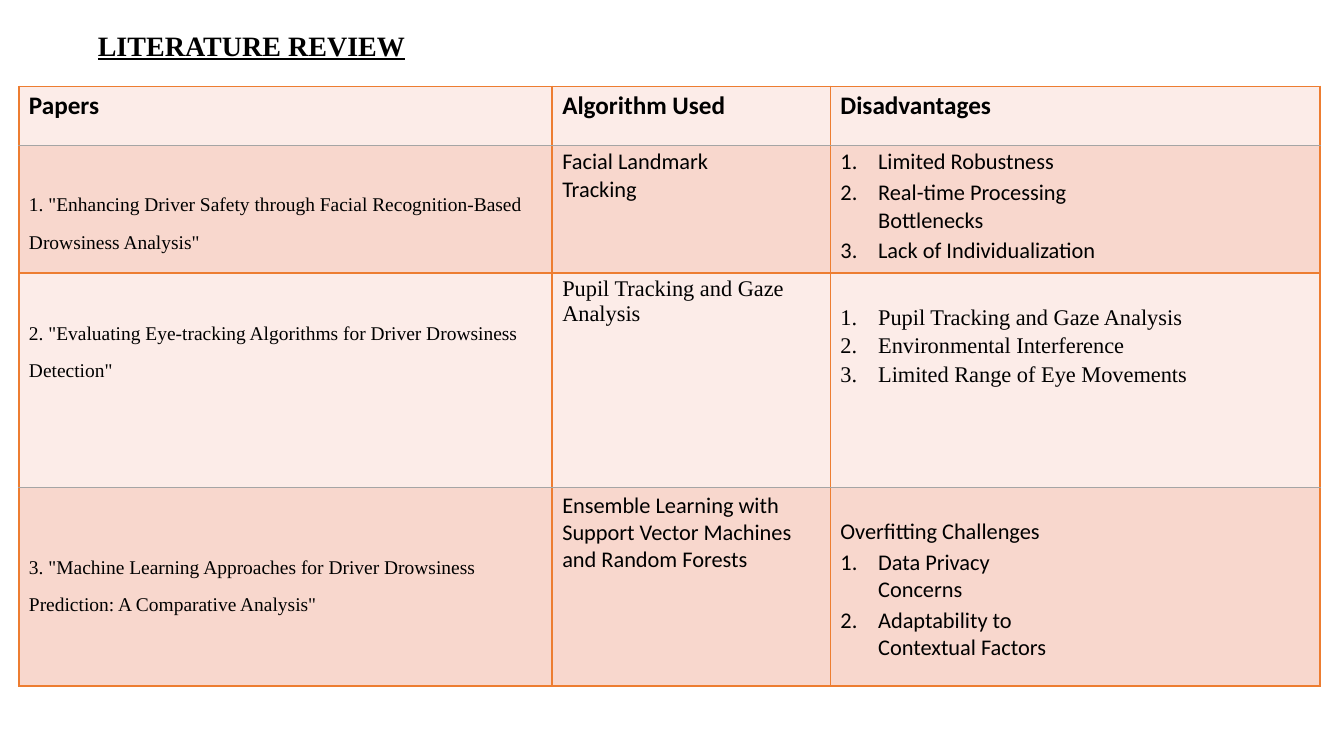
from lxml import etree
from pptx import Presentation
from pptx.dml.color import RGBColor
from pptx.enum.text import MSO_ANCHOR, MSO_AUTO_SIZE, PP_ALIGN
from pptx.oxml.ns import qn
from pptx.util import Cm, Pt

TOP = MSO_ANCHOR.TOP
LEFT = PP_ALIGN.LEFT
NO_FIT = MSO_AUTO_SIZE.NONE
COLORS = {
    "text": "000000",
    "light": "FCECE8",
    "dark": "F8D7CD",
    "border": "ED7D31",
    "hairline": "A5A5A5",
}
SANS, SERIF = "Calibri", "Times New Roman"
COLUMN_WIDTHS = (13.44, 7.01, 12.34)
ROW_HEIGHTS = (1.47, 3.23, 5.41, 5.0)
HAIRLINES = (1, 3)
LIST_INDENT = Cm(0.95)
HEADINGS = ("Papers", "Algorithm Used", "Disadvantages")


def entry(lines, font=SANS, top=0.08, right=0.25, numbered_from=None, **style):
    """Describe one cell: its lines, font, margins in cm and first numbered line."""
    return dict(lines=lines, font=font, top=top, right=right,
                numbered_from=len(lines) if numbered_from is None else numbered_from,
                **style)


def paper(title, top=1.14):
    """Describe a raised paper title."""
    return entry([title], SERIF, top, 0.5, size=24, raised=True)


REVIEW = [
    [entry([heading], top=0.1, size=18, bold=True, spacing=1.0) for heading in HEADINGS],
    [
        paper('1. "Enhancing Driver Safety through Facial Recognition-Based '
              'Drowsiness Analysis"'),
        entry(["Facial Landmark Tracking"], right=2),
        entry(["Limited Robustness", "Real-time Processing Bottlenecks",
               "Lack of Individualization"], right=4.8, numbered_from=0),
    ],
    [
        paper('2. "Evaluating Eye-tracking Algorithms for Driver Drowsiness Detection"'),
        entry(["Pupil Tracking and Gaze Analysis"], SERIF, spacing=1.0),
        entry(["Pupil Tracking and Gaze Analysis", "Environmental Interference",
               "Limited Range of Eye Movements"], SERIF, top=0.81, numbered_from=0),
    ],
    [
        paper('3. "Machine Learning Approaches for Driver Drowsiness Prediction: '
              'A Comparative Analysis"', top=1.63),
        entry(["Ensemble Learning with Support Vector Machines and Random Forests"],
              top=0.1, spacing=1.0),
        entry(["Overfitting Challenges", "Data Privacy Concerns",
               "Adaptability to Contextual Factors"],
              top=0.77, right=6.6, numbered_from=1, spacing=1.0),
    ],
]


def set_font(font, name, size, bold=False):
    """Apply a font in the text colour."""
    font.name, font.size, font.bold = name, Pt(size), bold
    font.color.rgb = RGBColor.from_string(COLORS["text"])


def add_border(cell, side, color, width):
    """Draw one edge of a cell."""
    edge = etree.SubElement(cell._tc.get_or_add_tcPr(), qn(f"a:ln{side}"), w=str(Pt(width)))
    fill = etree.SubElement(edge, qn("a:solidFill"))
    etree.SubElement(fill, qn("a:srgbClr"), val=COLORS[color])


def number_paragraph(paragraph):
    """Turn a paragraph into a numbered item with a hanging indent."""
    properties = paragraph._p.get_or_add_pPr()
    properties.set("marL", str(LIST_INDENT))
    properties.set("indent", str(-LIST_INDENT))
    etree.SubElement(properties, qn("a:buAutoNum"), type="arabicPeriod")


def fill_cell(cell, content, row):
    """Write, border and colour one cell of the review."""
    cell.margin_left, cell.margin_right = Cm(0.25), Cm(content["right"])
    cell.margin_top, cell.margin_bottom = Cm(content["top"]), 0
    cell.vertical_anchor = TOP
    for index, line in enumerate(content["lines"]):
        frame = cell.text_frame
        paragraph = frame.add_paragraph() if index else frame.paragraphs[0]
        paragraph.line_spacing = content.get("spacing", 1.01)
        paragraph.space_before = Pt(2.3)
        if index >= content["numbered_from"]:
            number_paragraph(paragraph)
        set_font(paragraph.font, content["font"], content.get("size", 16),
                 content.get("bold", False))
        run = paragraph.add_run()
        run.text = line
        if content.get("raised"):
            run._r.get_or_add_rPr().set("baseline", "25000")
    for side, boundary in (("L", None), ("R", None), ("T", row), ("B", row + 1)):
        thin = boundary in HAIRLINES
        add_border(cell, side, "hairline" if thin else "border", 0.5 if thin else 1.5)
    cell.fill.solid()
    cell.fill.fore_color.rgb = RGBColor.from_string(COLORS["dark" if row % 2 else "light"])


def place_heading(slide, left, top, width, height):
    """Put the slide heading in the title placeholder."""
    heading = slide.shapes.title
    heading.left, heading.top, heading.width, heading.height = left, top, width, height
    frame = heading.text_frame
    frame.text = "LITERATURE REVIEW"
    frame.auto_size, frame.word_wrap, frame.vertical_anchor = NO_FIT, False, TOP
    paragraph = frame.paragraphs[0]
    paragraph.alignment = LEFT
    set_font(paragraph.font, SERIF, 20, True)
    paragraph.font.underline = True


def place_review(slide, left, top, width, height):
    """Build the table of reviewed papers."""
    review = slide.shapes.add_table(len(REVIEW), len(HEADINGS), left, top, width, height).table
    review.first_row = review.horz_banding = False
    for column, column_width in zip(review.columns, COLUMN_WIDTHS):
        column.width = Cm(column_width)
    for row, row_height in zip(review.rows, ROW_HEIGHTS):
        row.height = Cm(row_height)
    for row, contents in enumerate(REVIEW):
        for column, content in enumerate(contents):
            fill_cell(review.cell(row, column), content, row)


def main():
    """Build and save the slide."""
    deck = Presentation()
    deck.slide_width, deck.slide_height = Cm(33.87), Cm(19.05)
    slide = deck.slides.add_slide(deck.slide_layouts[5])
    place_heading(slide, Cm(2.21), Cm(0.58), Cm(8.33), Cm(1.12))
    place_review(slide, Cm(0.48), Cm(2.18), Cm(sum(COLUMN_WIDTHS)), Cm(sum(ROW_HEIGHTS)))
    deck.save("out.pptx")


if __name__ == "__main__":
    main()
